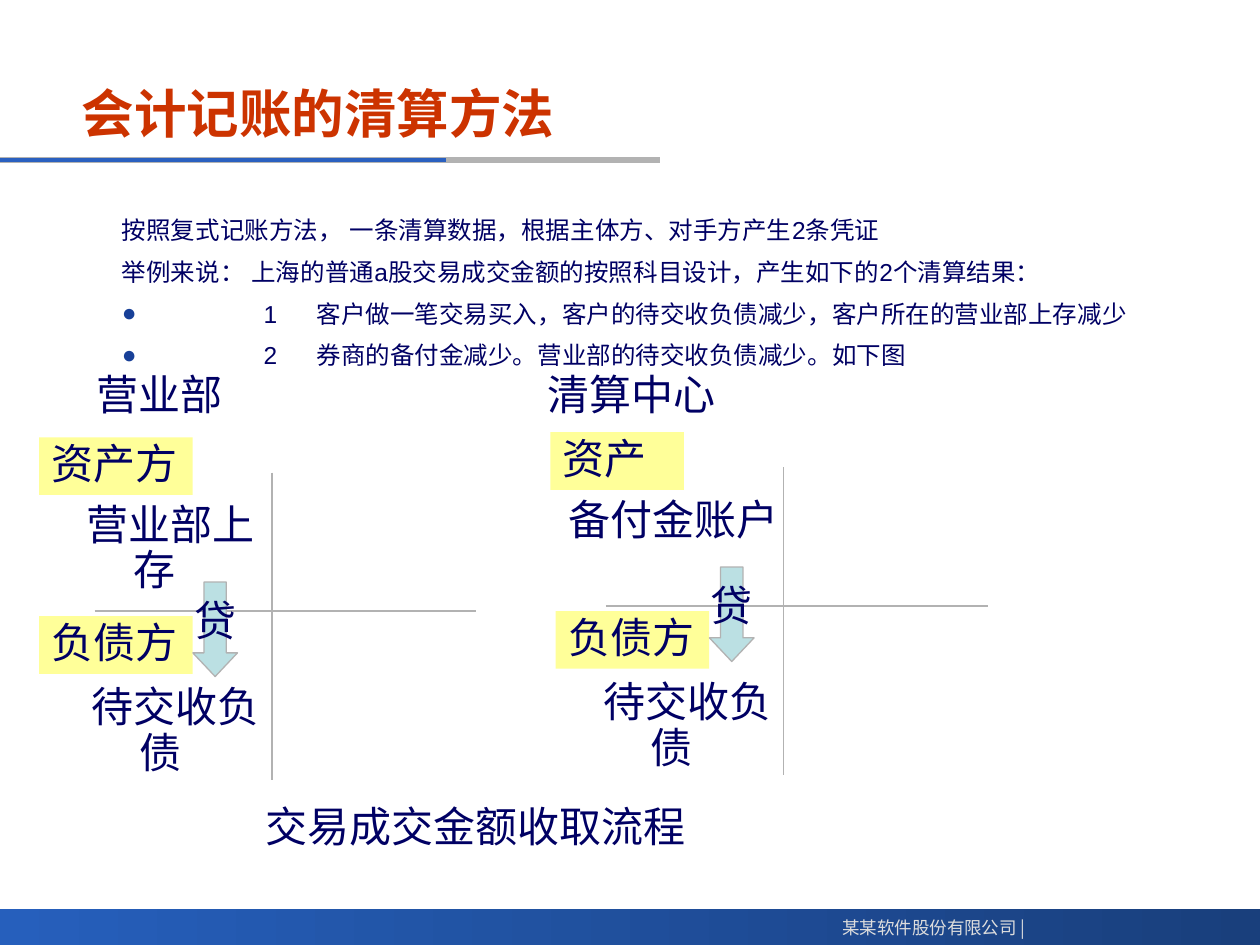
import pptx
import pptx.util
import pptx.dml.color
import pptx.enum.shapes
import pptx.enum.text
import pptx.oxml
import pptx.oxml.ns

Pt = pptx.util.Pt
RGB = pptx.dml.color.RGBColor
SHAPE = pptx.enum.shapes.MSO_SHAPE
ALIGN = pptx.enum.text.PP_ALIGN
ANCHOR = pptx.enum.text.MSO_ANCHOR

NAVY = RGB(0x00, 0x00, 0x64)
RED = RGB(0xCC, 0x33, 0x00)
GRAY = RGB(0xB2, 0xB2, 0xB2)
PALE = RGB(0xDD, 0xDD, 0xDD)
BLUE = RGB(0x2A, 0x60, 0xC0)
DARK = RGB(0x19, 0x3F, 0x7C)
LIGHT = RGB(0x26, 0x5F, 0xBC)
YELLOW = RGB(0xFF, 0xFF, 0x99)
AQUA = RGB(0xBB, 0xE0, 0xE3)
HANG = 27

deck = pptx.Presentation()
deck.slide_width, deck.slide_height = Pt(720), Pt(540)
slide = deck.slides.add_slide(deck.slide_layouts[6])
shapes = slide.shapes


def write(text, at, size=24, color=NAVY, bold=False, font="Arial", align=ALIGN.LEFT,
          anchor=ANCHOR.TOP, wrap=True, hang=HANG, line=0.9, gap=0, tabs=(),
          form=None, fill=None, edge=None):
    """Put text in a box, or in a preset shape if form is given.

    Lines that hold a tab become bullets; the tab parts number and words.
    """
    at = [Pt(n) for n in at]
    if form is None:
        box = shapes.add_textbox(*at)
    else:
        box = shapes.add_shape(form, *at)
        box.shadow.inherit = False
        box.fill.solid()
        box.fill.fore_color.rgb = fill
        if edge is None:
            box.line.fill.background()
        else:
            box.line.color.rgb = edge
            box.line.width = Pt(0.75)
    frame = box.text_frame
    frame.word_wrap = wrap
    frame.vertical_anchor = anchor
    for i, row in enumerate(text.split("\n")):
        para = frame.paragraphs[0] if i == 0 else frame.add_paragraph()
        props = para._p.get_or_add_pPr()
        inset = hang
        if "\t" in row:
            inset = tabs[0]
            stops = "".join(f'<a:tab pos="{Pt(t)}" algn="l"/>' for t in tabs[1:])
            marks = pptx.oxml.parse_xml(
                f'<a:pPr {pptx.oxml.ns.nsdecls("a")}><a:buClr><a:srgbClr val="184098"/></a:buClr>'
                f'<a:buFont typeface="Arial"/><a:buChar char="●"/><a:tabLst>{stops}</a:tabLst></a:pPr>')
            props.extend(list(marks))
        props.set("marL", str(Pt(inset)))
        props.set("indent", str(-Pt(inset)))
        para.alignment = align
        para.line_spacing = line
        para.space_before = Pt(gap if i else 0)
        para.space_after = Pt(gap)
        run = para.add_run()
        run.text = row
        run.font.size = Pt(size)
        run.font.bold = bold
        run.font.color.rgb = color
        run.font.name = font
        east = pptx.oxml.parse_xml(f'<a:ea {pptx.oxml.ns.nsdecls("a")} typeface="{font}"/>')
        run.font._element.append(east)
    return box


def rule(x1, y1, x2, y2, color=GRAY, width=0.75):
    line = shapes.add_connector(pptx.enum.shapes.MSO_CONNECTOR.STRAIGHT,
                                Pt(x1), Pt(y1), Pt(x2), Pt(y2))
    line.line.color.rgb = color
    line.line.width = Pt(width)
    line._element.spPr.append(
        pptx.oxml.parse_xml(f'<a:effectLst {pptx.oxml.ns.nsdecls("a")}/>'))


# Footer bar, title and its underline
bar = shapes.add_shape(SHAPE.RECTANGLE, Pt(0), Pt(519.6), Pt(720), Pt(20.4))
bar.shadow.inherit = False
bar.line.fill.background()
bar.fill.gradient()
bar.fill.gradient_angle = 0
for stop, color in zip(bar.fill.gradient_stops, (LIGHT, DARK)):
    stop.color.rgb = color
bar.fill.gradient_stops[0].position = 0
bar.fill.gradient_stops[1].position = 1
rule(0, 91.4, 377, 91.4, width=3)
rule(0, 91.4, 255, 91.4, color=BLUE, width=2.25)
write("某某软件股份有限公司 |", (470, 520.5, 123, 19.5), size=10, color=PALE,
      font="Noto Sans CJK SC", align=ALIGN.RIGHT, wrap=False, hang=0, line=1)
write("会计记账的清算方法", (39.6, 40.3, 498, 48.2), size=30, color=RED, bold=True,
      anchor=ANCHOR.MIDDLE, hang=0, line=1)

# The second stop serves both ways of measuring: from the indent or from the box
write("按照复式记账方法， 一条清算数据，根据主体方、对手方产生2条凭证\n"
      "举例来说： 上海的普通a股交易成交金额的按照科目设计，产生如下的2个清算结果：\n"
      "1\t客户做一笔交易买入，客户的待交收负债减少，客户所在的营业部上存减少\n"
      "2\t券商的备付金减少。营业部的待交收负债减少。如下图",
      (62.6, 119.5, 598.4, 118.8), size=14, line=1, gap=3.5, tabs=(81, 30.3, 111.3))

# Two ledgers: centre of the cross, heading, yellow tags, entries, arrow corner
ledgers = [
    (155.5, 349.2, ("营业部", 48.2), ("资产方", 22.3, 87.8), 22.3,
     ("营业部上存", 42.5, 116), (110.2, 332.6)),
    (447.8, 346.3, ("清算中心", 306), ("资产", 314.6, 76.3), 317.5,
     ("备付金账户", 317.5, 150.5), (405.4, 324)),
]
for x, y, head, asset, debt, entry, arrow in ledgers:
    rule(x - 101.5, y, x + 116.5, y)
    rule(x, y - 79.2, x, y + 96.5)
    write(head[0], (head[1], 210.2, 167, 33))
    write(asset[0], (asset[1], y - 99.3, asset[2], 33), form=SHAPE.RECTANGLE, fill=YELLOW)
    write("负债方", (debt, y + 2.9, 87.8, 33), form=SHAPE.RECTANGLE, fill=YELLOW)
    write(entry[0], (entry[1], y - 64.8, entry[2], 59))
    write("待交收负债", (x - 110.1, y + 39.6, 116, 59))
    shaft = write("贷", (*arrow, 25.5, 54), align=ALIGN.CENTER, anchor=ANCHOR.MIDDLE,
                  wrap=False, hang=0, form=SHAPE.DOWN_ARROW, fill=AQUA, edge=GRAY)
    shaft.adjustments[0] = 0.5
    shaft.adjustments[1] = 0.53

write("交易成交金额收取流程", (144.7, 457.2, 263.5, 33))

deck.save("out.pptx")
